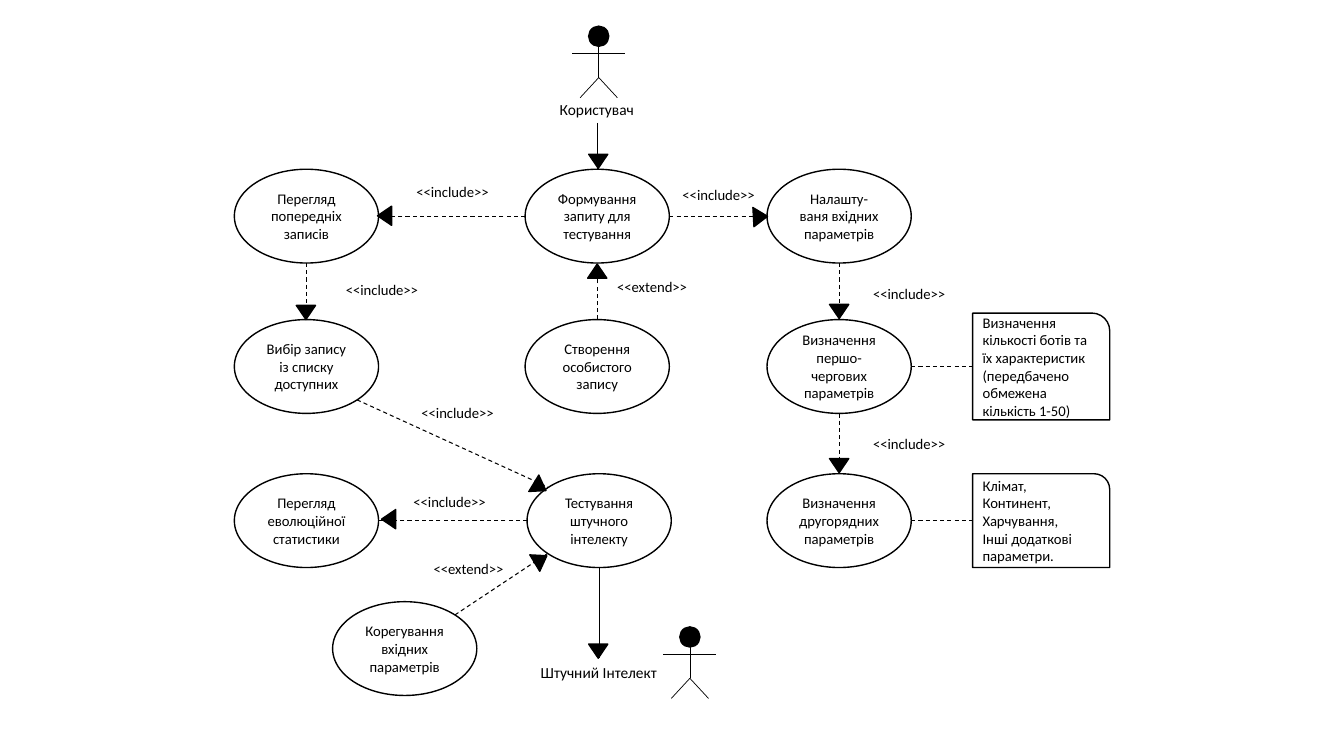
from lxml import etree
from pptx import Presentation
from pptx.dml.color import RGBColor
from pptx.enum.dml import MSO_LINE
from pptx.enum.shapes import MSO_CONNECTOR, MSO_SHAPE
from pptx.enum.text import MSO_ANCHOR, MSO_AUTO_SIZE, PP_ALIGN
from pptx.oxml.ns import qn
from pptx.util import Pt

STRAIGHT = MSO_CONNECTOR.STRAIGHT
OVAL, TRIANGLE, NOTE = MSO_SHAPE.OVAL, MSO_SHAPE.ISOSCELES_TRIANGLE, MSO_SHAPE.ROUND_1_RECTANGLE
DASH = MSO_LINE.DASH
MIDDLE = MSO_ANCHOR.MIDDLE
GROW = MSO_AUTO_SIZE.SHAPE_TO_FIT_TEXT
LEFT, CENTER = PP_ALIGN.LEFT, PP_ALIGN.CENTER
BLACK = RGBColor(0x00, 0x00, 0x00)
WHITE = RGBColor(0xFF, 0xFF, 0xFF)
FONT = "Calibri"
SMALL, LARGE = 10.5, 11

COLUMN_1, COLUMN_2, COLUMN_3 = 218.9, 426.6, 599.4
ROW_1, ROW_2, ROW_3 = 154.4, 261.8, 371.9
TESTING_X = 428
OVAL_WIDTH, OVAL_HEIGHT = 103, 67
HALF_WIDTH, HALF_HEIGHT = OVAL_WIDTH / 2, OVAL_HEIGHT / 2
HEAD_WIDTH, HEAD_HEIGHT = 13.7, 10.1
NOTE_LEFT, NOTE_WIDTH = 694.8, 97.9

USE_CASES = [
    (COLUMN_1, ROW_1, "Перегляд попередніх записів"),
    (COLUMN_2, ROW_1, "Формування запиту для тестування"),
    (COLUMN_3, ROW_1, "Налашту-ваня вхідних параметрів"),
    (COLUMN_1, ROW_2, "Вибір запису із списку доступних"),
    (COLUMN_2, ROW_2, "Створення особистого запису"),
    (COLUMN_3, ROW_2, "Визначення першо-чергових параметрів"),
    (COLUMN_1, ROW_3, "Перегляд еволюційної статистики"),
    (TESTING_X, ROW_3, "Тестування штучного інтелекту"),
    (COLUMN_3, ROW_3, "Визначення другорядних параметрів"),
    (289.1, 463.3, "Корегування вхідних параметрів"),
]
RELATIONS = [
    (COLUMN_2 - HALF_WIDTH, ROW_1, COLUMN_1 + HALF_WIDTH, ROW_1),
    (COLUMN_2 + HALF_WIDTH, ROW_1, COLUMN_3 - HALF_WIDTH, ROW_1),
    (COLUMN_1, ROW_1 + HALF_HEIGHT, COLUMN_1, ROW_2 - HALF_HEIGHT),
    (COLUMN_2, ROW_2 - HALF_HEIGHT, COLUMN_2, ROW_1 + HALF_HEIGHT),
    (COLUMN_3, ROW_1 + HALF_HEIGHT, COLUMN_3, ROW_2 - HALF_HEIGHT),
    (COLUMN_3, ROW_2 + HALF_HEIGHT, COLUMN_3, ROW_3 - HALF_HEIGHT),
    (TESTING_X - HALF_WIDTH, ROW_3, COLUMN_1 + HALF_WIDTH, ROW_3),
    (255, 285.6, 391.2, 347.8),
    (325, 439.2, 391.2, 395.3),
]
ARROWHEADS = [
    (274.7, 154.1, 270),
    (543.2, 154.8, 86.8),
    (218.5, 223.2, 180),
    (426.6, 193.7, 0),
    (599.4, 222.5, 180),
    (599.4, 332.6, 180),
    (277.6, 370.8, 270),
    (385.6, 347.8, 121.2),
    (386.3, 399.6, 58.8),
    (427.3, 115.2, 180),
    (427.3, 465.1, 180),
]
STEREOTYPES = [
    (285.1, 126.7, "<<include>>"),
    (475.2, 128.9, "<<include>>"),
    (234.7, 197.3, "<<include>>"),
    (427.7, 195.1, "<<extend>>"),
    (611.3, 200.2, "<<include>>"),
    (611.3, 307.4, "<<include>>"),
    (283, 348.5, "<<include>>"),
    (288.7, 285.1, "<<include>>"),
    (296.6, 396, "<<extend>>"),
]
NOTES = [
    (ROW_2, 76.3, "Визначення кількості ботів та їх характеристик "
                  "(передбачено обмежена кількість 1-50)"),
    (ROW_3, 67, "Клімат, Континент,\nХарчування,\nІнші додаткові параметри."),
]


def write_text(shape, text, size, alignment):
    """Fill a shape with formatted black text."""
    frame = shape.text_frame
    frame.text = text
    frame.word_wrap = True
    for para in frame.paragraphs:
        para.alignment = alignment
        for span in para.runs:
            span.font.name = FONT
            span.font.size = Pt(size)
            span.font.color.rgb = BLACK


def add_outlined(page, kind, left, top, width, height, fill):
    """Add a flat preset shape with a thin black outline."""
    shape = page.shapes.add_shape(kind, Pt(left), Pt(top), Pt(width), Pt(height))
    shape.shadow.inherit = False
    shape.fill.solid()
    shape.fill.fore_color.rgb = fill
    shape.line.color.rgb = BLACK
    shape.line.width = Pt(1)
    return shape


def add_line(page, start_x, start_y, end_x, end_y, dashed=False):
    """Add a solid or dashed black connector."""
    line = page.shapes.add_connector(STRAIGHT, Pt(start_x), Pt(start_y), Pt(end_x), Pt(end_y))
    line.line.color.rgb = BLACK
    line.line.width = Pt(0.75 if dashed else 0.5)
    if dashed:
        line.line.dash_style = DASH
    etree.SubElement(line._element.spPr, qn("a:effectLst"))
    return line


def add_label(page, left, top, width, height, text, size):
    """Add a centred caption."""
    box = page.shapes.add_textbox(Pt(left), Pt(top), Pt(width), Pt(height))
    write_text(box, text, size, CENTER)
    box.text_frame.auto_size = GROW


def add_use_case(page, center_x, center_y, text):
    """Add a use case oval around its centre."""
    oval = add_outlined(page, OVAL, center_x - HALF_WIDTH, center_y - HALF_HEIGHT,
                        OVAL_WIDTH, OVAL_HEIGHT, WHITE)
    write_text(oval, text, SMALL, CENTER)
    oval.text_frame.vertical_anchor = MIDDLE


def add_arrowhead(page, center_x, center_y, angle):
    """Add a filled triangle turned by the given angle."""
    head = add_outlined(page, TRIANGLE, center_x - HEAD_WIDTH / 2, center_y - HEAD_HEIGHT / 2,
                        HEAD_WIDTH, HEAD_HEIGHT, BLACK)
    head.rotation = angle


def add_note(page, center_y, height, text):
    """Add a note joined to the use case on its left."""
    note = add_outlined(page, NOTE, NOTE_LEFT, center_y - height / 2, NOTE_WIDTH, height, WHITE)
    write_text(note, text, SMALL, LEFT)
    note.text_frame.vertical_anchor = MIDDLE
    link = add_line(page, COLUMN_3 + HALF_WIDTH, center_y, NOTE_LEFT, center_y, dashed=True)
    link.end_connect(note, 1)


def add_actor(page, center_x, top):
    """Add a stick figure."""
    add_outlined(page, OVAL, center_x - 7.2, top, 14.4, 14.4, BLACK)
    hip = top + 36.7
    add_line(page, center_x, top + 14.4, center_x, hip)
    add_line(page, center_x - 18.9, top + 19.4, center_x + 18.9, top + 19.4)
    for step in (-13.3, 13.3):
        add_line(page, center_x, hip, center_x + step, top + 51.1)


def main():
    """Build the use case diagram."""
    deck = Presentation()
    deck.slide_width, deck.slide_height = Pt(960), Pt(540)
    page = deck.slides.add_slide(deck.slide_layouts[6])
    for use_case in USE_CASES:
        add_use_case(page, *use_case)
    for relation in RELATIONS:
        add_line(page, *relation, dashed=True)
    add_line(page, COLUMN_2, 87.8, COLUMN_2, ROW_1 - HALF_HEIGHT)
    add_line(page, TESTING_X, ROW_3 + HALF_HEIGHT, TESTING_X, 470.2)
    for arrowhead in ARROWHEADS:
        add_arrowhead(page, *arrowhead)
    for left, top, text in STEREOTYPES:
        add_label(page, left, top, 76.3, 20.2, text, SMALL)
    for note in NOTES:
        add_note(page, *note)
    add_actor(page, 427.7, 18.7)
    add_label(page, 387.4, 67.7, 77.8, 20.9, "Користувач", LARGE)
    add_actor(page, 492.8, 447.8)
    add_label(page, 370.8, 470.2, 113.8, 20.9, "Штучний Інтелект", LARGE)
    deck.save("out.pptx")


if __name__ == "__main__":
    main()
